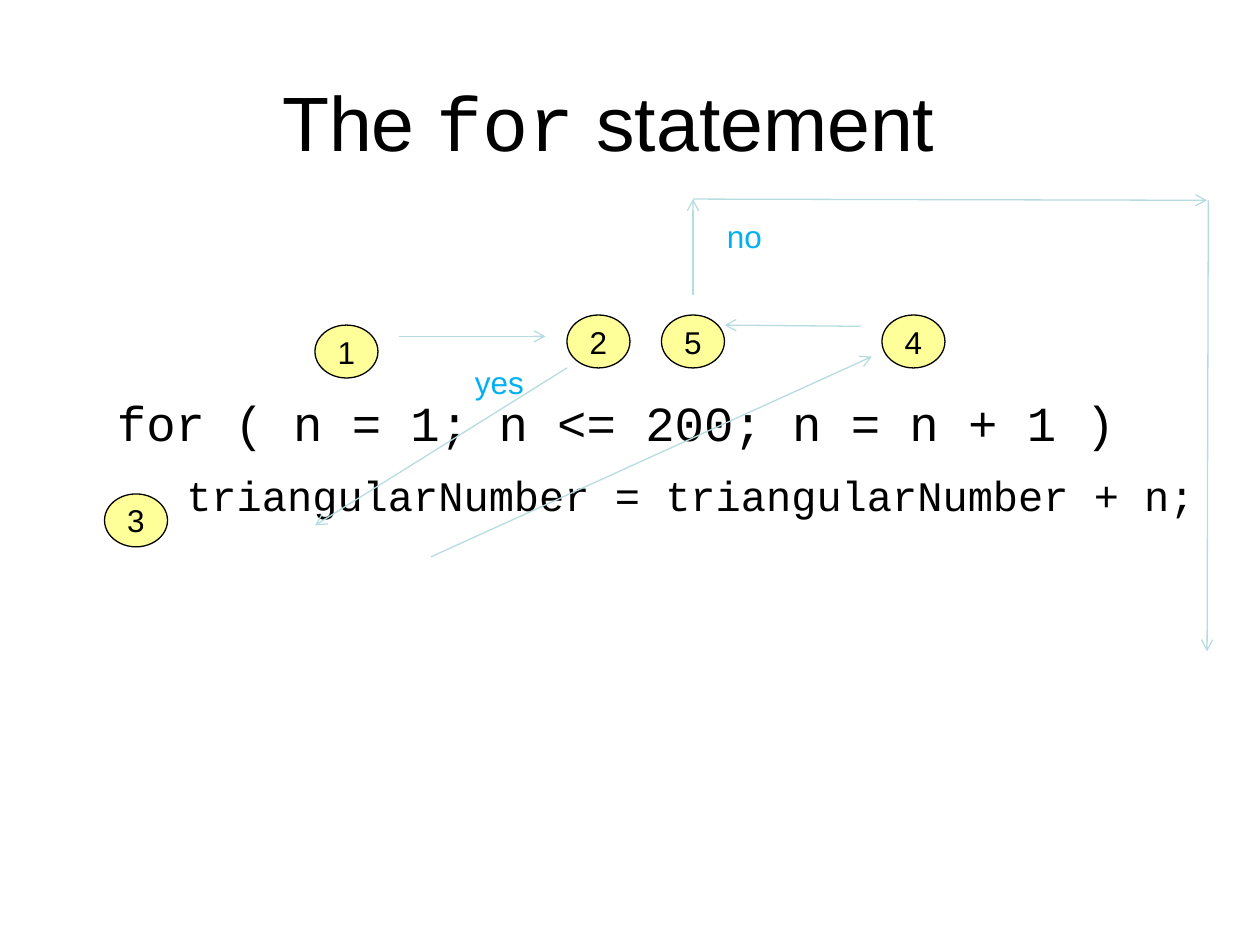
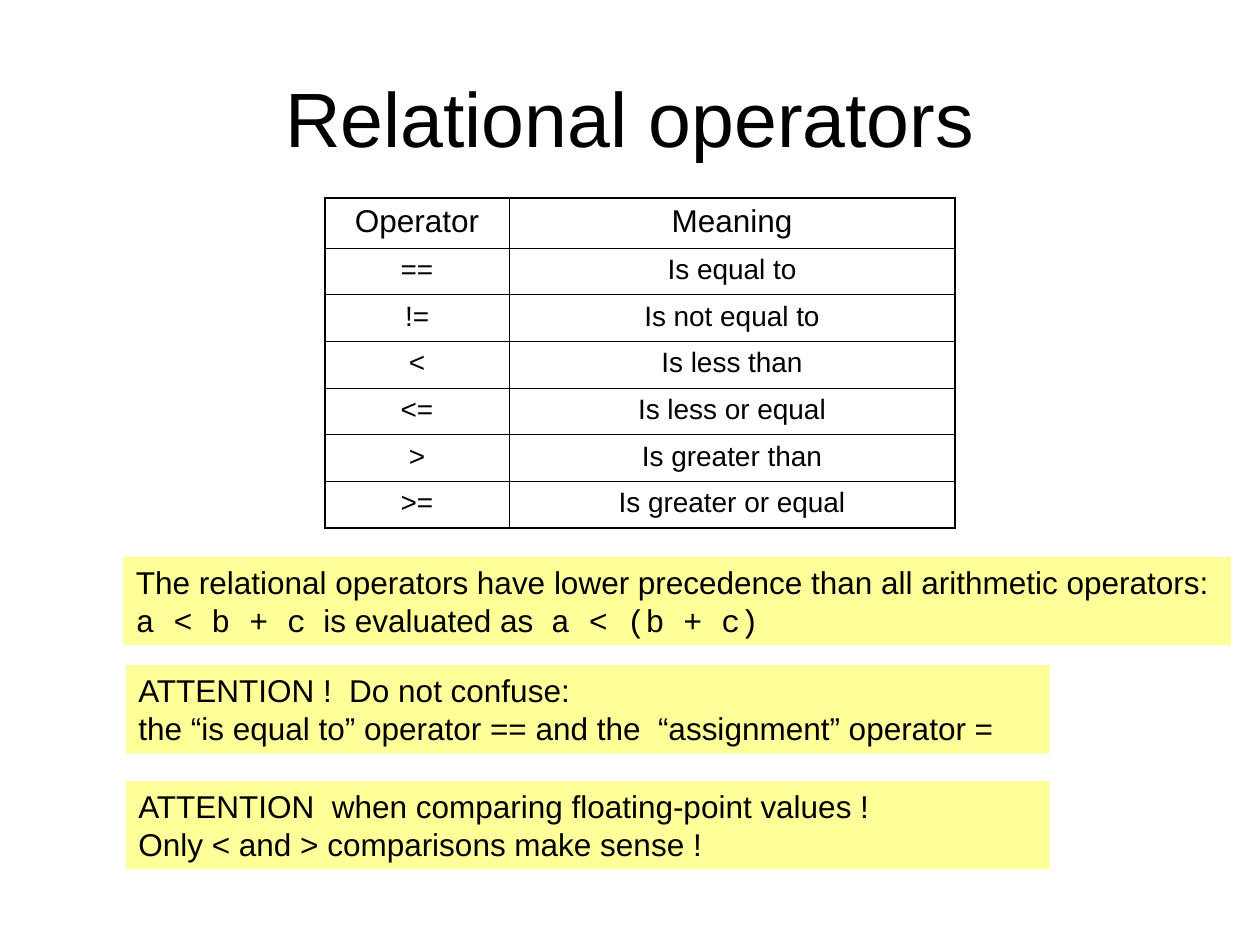
import dataclasses

import lxml.etree
import pptx
import pptx.dml.color
import pptx.enum.shapes
import pptx.enum.text
import pptx.oxml.ns
import pptx.util

Inches = pptx.util.Inches
Pt = pptx.util.Pt
Align = pptx.enum.text.PP_ALIGN
Anchor = pptx.enum.text.MSO_ANCHOR
Shape = pptx.enum.shapes.MSO_SHAPE
qn = pptx.oxml.ns.qn


@dataclasses.dataclass(frozen=True)
class Theme:
    ink: str = "000000"
    highlight: str = "FFFF99"
    flow: str = "B6DCDF"
    answer: str = "00B0F0"
    sans: str = "Arial"
    mono: str = "Courier New"
    title: int = 44
    statement: int = 28
    body_line: int = 24
    normal: int = 18
    cell: int = 16
    line: float = 0.75
    inner_border: float = 0.45
    outer_border: float = 1.08


THEME = Theme()


def rgb(value):
    return pptx.dml.color.RGBColor.from_string(value)


def apply(target, settings):
    for name, value in settings.items():
        setattr(target, name, value)


# Text
def write(paragraph, runs, size, color=THEME.ink, **settings):
    """Fill a paragraph with (text, font) runs."""
    apply(paragraph, settings)
    for text, font in runs:
        run = paragraph.add_run()
        run.text = text
        apply(run.font, {"name": font, "size": Pt(size)})
        run.font.color.rgb = rgb(color)


def format_frame(frame, wrap=True, anchor=Anchor.TOP):
    apply(frame, {
        "word_wrap": wrap, "vertical_anchor": anchor,
        "margin_left": Inches(0.1), "margin_right": Inches(0.1),
        "margin_top": Inches(0.05), "margin_bottom": Inches(0.05)})


def add_text_box(slide, left, top, width, height, wrap=True):
    frame = slide.shapes.add_textbox(
        Inches(left), Inches(top), Inches(width), Inches(height)).text_frame
    format_frame(frame, wrap)
    return frame


def add_titled_slide(deck, runs, left, top):
    slide = deck.slides.add_slide(deck.slide_layouts[5])
    title = slide.shapes.title
    apply(title, {"left": Inches(left), "top": Inches(top),
                  "width": Inches(9), "height": Inches(1.25)})
    format_frame(title.text_frame, anchor=Anchor.MIDDLE)
    write(title.text_frame.paragraphs[0], runs, THEME.title,
          alignment=Align.CENTER)
    return slide


# Shapes
def add_highlight(slide, kind, left, top, width, height):
    shape = slide.shapes.add_shape(
        kind, Inches(left), Inches(top), Inches(width), Inches(height))
    shape.shadow.inherit = False
    shape.fill.solid()
    shape.fill.fore_color.rgb = rgb(THEME.highlight)
    return shape


def add_step(slide, number, left, top):
    step = add_highlight(slide, Shape.OVAL, left, top, 0.5, 0.42)
    step.line.color.rgb = rgb(THEME.ink)
    step.line.width = Pt(THEME.line)
    format_frame(step.text_frame, wrap=False, anchor=Anchor.MIDDLE)
    write(step.text_frame.paragraphs[0], [(str(number), THEME.sans)],
          THEME.normal, alignment=Align.CENTER)


def add_note(slide, lines, left, top, width):
    note = add_highlight(slide, Shape.RECTANGLE, left, top, width, 0.7)
    note.line.fill.background()
    format_frame(note.text_frame)
    for index, runs in enumerate(lines):
        paragraph = (note.text_frame.add_paragraph() if index
                     else note.text_frame.paragraphs[0])
        write(paragraph, runs, THEME.normal, alignment=Align.LEFT)


def add_arrow(slide, start, end):
    arrow = slide.shapes.add_connector(
        pptx.enum.shapes.MSO_CONNECTOR.STRAIGHT,
        *(Inches(length) for length in start + end))
    arrow.line.color.rgb = rgb(THEME.flow)
    arrow.line.width = Pt(THEME.line)
    lxml.etree.SubElement(arrow.line._get_or_add_ln(), qn("a:tailEnd"),
                          type="arrow")
    lxml.etree.SubElement(arrow._element.spPr, qn("a:effectLst"))


# Table
def add_border(cell, side, width):
    border = lxml.etree.SubElement(cell._tc.get_or_add_tcPr(),
                                   qn(f"a:ln{side}"), w=str(Pt(width)))
    fill = lxml.etree.SubElement(border, qn("a:solidFill"))
    lxml.etree.SubElement(fill, qn("a:srgbClr"), val=THEME.ink)


def add_operator_table(slide, rows, left, top, widths, header_height,
                       row_height):
    heights = [header_height] + [row_height] * (len(rows) - 1)
    table = slide.shapes.add_table(
        len(rows), len(widths), Inches(left), Inches(top),
        Inches(sum(widths)), Inches(sum(heights))).table
    apply(table, {"first_row": False, "horz_banding": False})
    for column, width in zip(table.columns, widths):
        column.width = Inches(width)
    for r, (texts, height) in enumerate(zip(rows, heights)):
        table.rows[r].height = Inches(height)
        size = THEME.cell if r else THEME.normal
        for c, text in enumerate(texts):
            cell = table.cell(r, c)
            write(cell.text_frame.paragraphs[0], [(text, THEME.sans)], size,
                  alignment=Align.CENTER, space_before=Pt(size / 4))
            outer_sides = {"L": c == 0, "R": c == len(widths) - 1,
                           "T": r == 0, "B": r == len(rows) - 1}
            for side, is_outer in outer_sides.items():
                add_border(cell, side, THEME.outer_border if is_outer
                           else THEME.inner_border)
            cell.fill.background()


# Slides
def build_for_statement(deck):
    slide = add_titled_slide(
        deck, [("The ", THEME.sans), ("for", THEME.mono),
               (" statement", THEME.sans)], 0.33, 0.33)

    # Loop code, with its body indented
    code = add_text_box(slide, 0.83, 3.07, 8.92, 1.1)
    write(code.paragraphs[0],
          [("for ( n = 1; n <= 200; n = n + 1 )", THEME.mono)],
          THEME.statement)
    loop_body = code.add_paragraph()
    write(loop_body, [("triangularNumber = triangularNumber + n;", THEME.mono)],
          THEME.body_line, space_before=Pt(10))
    loop_body._p.get_or_add_pPr().set("marL", str(Inches(0.55)))

    # Order of execution
    step_places = {1: (2.5, 2.58), 2: (4.5, 2.5), 3: (0.83, 3.92),
                   4: (7, 2.5), 5: (5.25, 2.5)}
    for number, place in step_places.items():
        add_step(slide, number, *place)

    flow = [
        ((3.17, 2.67), (4.33, 2.67)),
        ((4.5, 2.92), (2.5, 4.17)),
        ((3.42, 4.42), (6.92, 2.83)),
        ((6.83, 2.59), (5.75, 2.58)),
        ((5.5, 2.34), (5.5, 1.58)),
        ((5.5, 1.58), (9.58, 1.59)),
        ((9.59, 1.59), (9.58, 5.17)),
    ]
    for start, end in flow:
        add_arrow(slide, start, end)

    # Outcomes of the test
    for answer, left, top, width in (("yes", 3.67, 2.83, 0.59),
                                     ("no", 5.67, 1.67, 0.48)):
        label = add_text_box(slide, left, top, width, 0.4, wrap=False)
        write(label.paragraphs[0], [(answer, THEME.sans)], THEME.normal,
              THEME.answer)


def build_relational_operators(deck):
    slide = add_titled_slide(deck, [("Relational operators", THEME.sans)],
                             0.5, 0.3)
    operators = [
        ("Operator", "Meaning"),
        ("==", "Is equal to"),
        ("!=", "Is not equal to"),
        ("<", "Is less than"),
        ("<=", "Is less or equal"),
        (">", "Is greater than"),
        (">=", "Is greater or equal"),
    ]
    add_operator_table(slide, operators, 2.58, 1.57, (1.46, 3.54), 0.4, 0.37)

    # Precedence and warnings
    add_note(slide, [
        [("The relational operators have lower precedence than all "
          "arithmetic operators:", THEME.sans)],
        [("a < b + c", THEME.mono), ("  is evaluated as  ", THEME.sans),
         ("a < (b + c)", THEME.mono)],
    ], 0.98, 4.42, 8.79)
    warnings = {
        5.28: ("ATTENTION !  Do not confuse:",
               "the “is equal to” operator == and the  “assignment” operator ="),
        6.2: ("ATTENTION  when comparing floating-point values !",
              "Only < and > comparisons make sense !"),
    }
    for top, lines in warnings.items():
        add_note(slide, [[(line, THEME.sans)] for line in lines], 1, top, 7.33)


def main():
    deck = pptx.Presentation()
    apply(deck, {"slide_width": Inches(10), "slide_height": Inches(7.5)})
    build_for_statement(deck)
    build_relational_operators(deck)
    deck.save("out.pptx")


if __name__ == "__main__":
    main()
